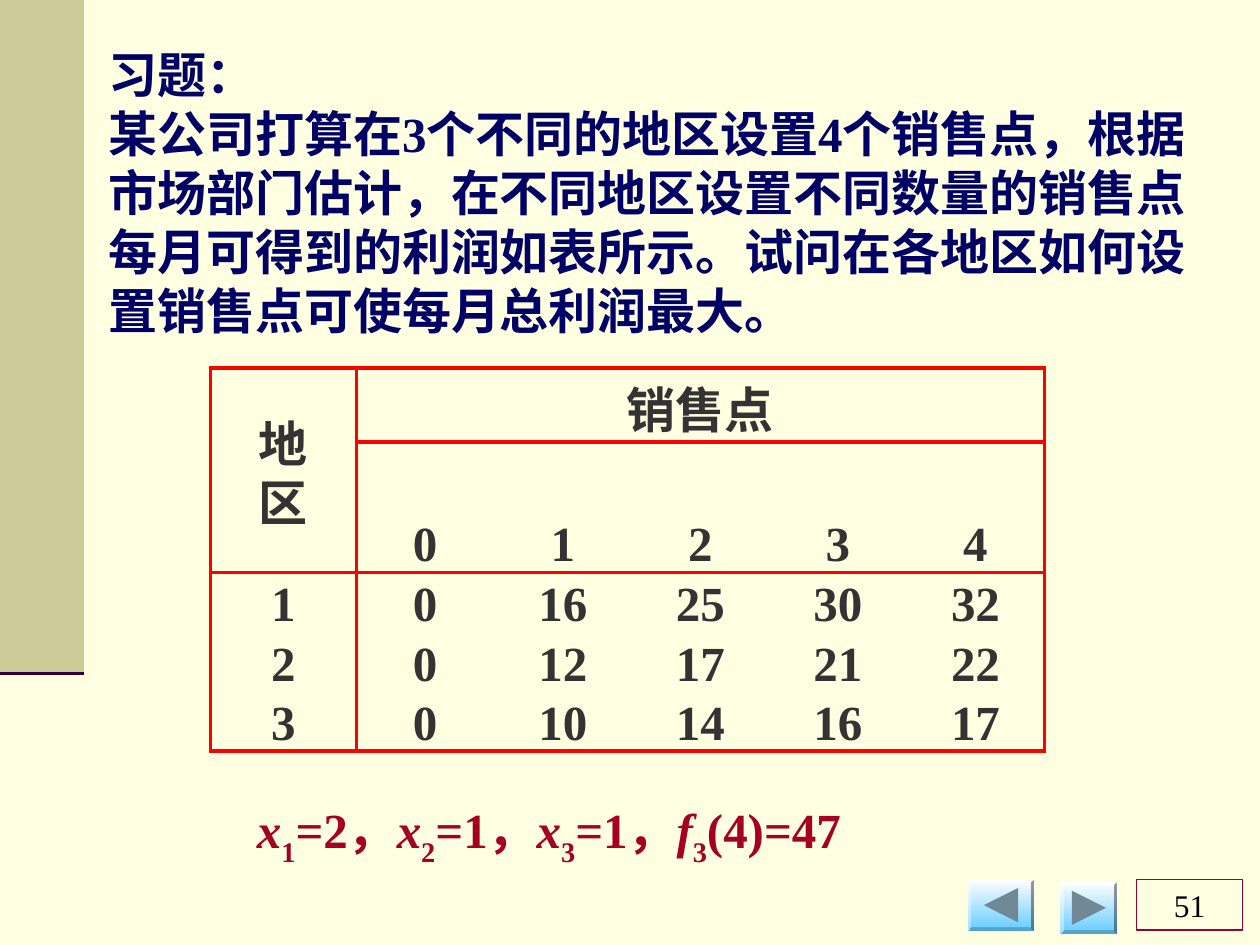
import lxml.etree
import pptx
import pptx.dml.color
import pptx.enum.shapes
import pptx.enum.text
import pptx.oxml.ns
import pptx.util

Pt = pptx.util.Pt
RGBColor = pptx.dml.color.RGBColor
SHAPES = pptx.enum.shapes.MSO_SHAPE
ALIGN = pptx.enum.text.PP_ALIGN
ANCHOR = pptx.enum.text.MSO_ANCHOR
qn = pptx.oxml.ns.qn

CREAM = RGBColor(0xFF, 0xFF, 0xE1)
KHAKI = RGBColor(0xCC, 0xCC, 0x99)
PLUM = RGBColor(0x33, 0x00, 0x33)
NAVY = RGBColor(0x00, 0x00, 0x66)
GRAY = RGBColor(0x33, 0x33, 0x33)
RED = RGBColor(0xFF, 0x00, 0x00)
CRIMSON = RGBColor(0xA5, 0x00, 0x21)
MAROON = RGBColor(0x99, 0x00, 0x33)
BLACK = RGBColor(0x00, 0x00, 0x00)
WHITE = RGBColor(0xFF, 0xFF, 0xFF)
SKY = RGBColor(0x66, 0xCC, 0xFF)
SLATE = RGBColor(0x6F, 0x8A, 0x96)

LATIN_FONT = "Times New Roman"
CHINESE_FONT = "Noto Sans CJK SC"
LINE_PITCH = 33.7
NO_STYLE_NO_GRID = "{2D5ABB26-0587-4C30-8999-92F81FD0307C}"

QUESTION = (
    "习题：",
    "某公司打算在3个不同的地区设置4个销售点，根据市场部门估计，在不同地区设置不同数量的销售点"
    "每月可得到的利润如表所示。试问在各地区如何设置销售点可使每月总利润最大。",
)
PROFITS = (
    ("地区", "销售点", "", "", "", ""),
    ("", "0", "1", "2", "3", "4"),
    ("1", "0", "16", "25", "30", "32"),
    ("2", "0", "12", "17", "21", "22"),
    ("3", "0", "10", "14", "16", "17"),
)
ANSWER = (("x", "1", "=2，"), ("x", "2", "=1，"), ("x", "3", "=1，"), ("f", "3", "(4)=47"))


def format_para(para, color, size=28, bold=True, align=ALIGN.LEFT):
    para.alignment = align
    if size == 28:
        para.line_spacing = Pt(LINE_PITCH)
    font = para.font
    font.size, font.bold, font.name = Pt(size), bold, LATIN_FONT
    font.color.rgb = color
    lxml.etree.SubElement(font._element, qn("a:ea"), typeface=CHINESE_FONT)


def add_text_box(page, left, top, width, height):
    frame = page.shapes.add_textbox(Pt(left), Pt(top), Pt(width), Pt(height)).text_frame
    frame.word_wrap = True
    return frame


def add_side_bar(page, width, height):
    edge = page.shapes.add_connector(
        pptx.enum.shapes.MSO_CONNECTOR.STRAIGHT, Pt(0), Pt(height), Pt(width), Pt(height))
    edge.line.color.rgb = PLUM
    edge.line.width = Pt(3.5)
    lxml.etree.SubElement(edge._element.spPr, qn("a:effectLst"))
    bar = page.shapes.add_shape(SHAPES.RECTANGLE, Pt(0), Pt(0), Pt(width), Pt(height))
    bar.shadow.inherit = False
    bar.fill.solid()
    bar.fill.fore_color.rgb = KHAKI
    bar.line.fill.background()


def add_button(page, left, top, width, height, direction):
    """Bevelled button with an arrow; direction is -1 for back, 1 for forward."""
    button = page.shapes.add_shape(SHAPES.BEVEL, Pt(left), Pt(top), Pt(width), Pt(height))
    button.adjustments[0] = 0.06
    button.shadow.inherit = False
    button.line.fill.background()
    button.fill.gradient()
    button.fill.gradient_angle = 270
    for stop, color, position in zip(button.fill.gradient_stops, (WHITE, SKY), (0, 1)):
        stop.color.rgb = color
        stop.position = position

    middle_x, middle_y, reach = left + width / 2, top + height / 2, 9.8
    base_x = middle_x - direction * reach
    builder = page.shapes.build_freeform(Pt(base_x), Pt(middle_y - reach))
    builder.add_line_segments([
        (Pt(middle_x + direction * reach), Pt(middle_y)),
        (Pt(base_x), Pt(middle_y + reach)),
    ])
    arrow = builder.convert_to_shape()
    arrow.shadow.inherit = False
    arrow.fill.solid()
    arrow.fill.fore_color.rgb = SLATE
    arrow.line.fill.background()


def add_page_number(page, left, top, width, height, number):
    box = page.shapes.add_shape(SHAPES.RECTANGLE, Pt(left), Pt(top), Pt(width), Pt(height))
    box.shadow.inherit = False
    box.fill.background()
    box.line.color.rgb = MAROON
    box.line.width = Pt(0.75)
    box.text_frame.vertical_anchor = ANCHOR.MIDDLE
    para = box.text_frame.paragraphs[0]
    para.text = number
    format_para(para, BLACK, size=18, bold=False, align=ALIGN.CENTER)


def add_question(page, left, top, width, height):
    frame = add_text_box(page, left, top, width, height)
    frame.text = "\n".join(QUESTION)
    for para in frame.paragraphs:
        format_para(para, NAVY)


def draw_borders(cell, sides):
    """Rule the given sides, named L, R, T and B in that order."""
    properties = cell._tc.get_or_add_tcPr()
    for index, side in enumerate(sides):
        line = lxml.etree.Element(qn("a:ln" + side), w=str(Pt(2.25)))
        fill = lxml.etree.SubElement(line, qn("a:solidFill"))
        lxml.etree.SubElement(fill, qn("a:srgbClr"), val=str(RED))
        properties.insert(index, line)


def add_profit_table(page, left, top, width, height):
    last_row, last_column = len(PROFITS) - 1, len(PROFITS[0]) - 1
    table = page.shapes.add_table(
        last_row + 1, last_column + 1, Pt(left), Pt(top), Pt(width), Pt(height)).table
    table.first_row = table.horz_banding = False
    table._tbl.tblPr.find(qn("a:tableStyleId")).text = NO_STYLE_NO_GRID

    region_width, header_heights = 83.5, (42.5, 47.5)
    data_height = (height - sum(header_heights)) / 3
    for column in table.columns:
        column.width = Pt((width - region_width) / last_column)
    table.columns[0].width = Pt(region_width)
    for row, row_height in zip(table.rows, header_heights + (data_height,) * 3):
        row.height = Pt(row_height)
    table.cell(0, 0).merge(table.cell(1, 0))
    table.cell(0, 1).merge(table.cell(0, last_column))

    for r, values in enumerate(PROFITS):
        for c, value in enumerate(values):
            cell = table.cell(r, c)
            cell.margin_left = cell.margin_right = cell.margin_top = cell.margin_bottom = 0
            cell.vertical_anchor = ANCHOR.BOTTOM
            cell.fill.background()
            ruled = {
                "L": c == 0,
                "R": c in (0, last_column) or cell.is_merge_origin,
                "T": r == 0,
                "B": r in (0, 1, last_row),
            }
            draw_borders(cell, [side for side in ruled if ruled[side]])
            if value:
                para = cell.text_frame.paragraphs[0]
                para.text = value
                format_para(para, GRAY, align=ALIGN.CENTER)

    region = table.cell(0, 0)
    region.vertical_anchor = ANCHOR.MIDDLE
    region.margin_left = region.margin_right = Pt(15)
    region.margin_top = Pt(7)


def add_answer(page, left, top, width, height):
    para = add_text_box(page, left, top, width, height).paragraphs[0]
    format_para(para, CRIMSON)
    for symbol, index, value in ANSWER:
        for text in (symbol, index, value):
            span = para.add_run()
            span.text = text
            if text is symbol:
                span.font.italic = True
            elif text is index:
                span.font._element.set("baseline", "-30000")


def main():
    deck = pptx.Presentation()
    deck.slide_width, deck.slide_height = Pt(720), Pt(540)
    page = deck.slides.add_slide(deck.slide_layouts[6])
    page.background.fill.solid()
    page.background.fill.fore_color.rgb = CREAM

    add_side_bar(page, 48, 384)
    add_button(page, 553, 502.5, 38, 29.5, -1)
    add_button(page, 606, 504, 32.5, 29.5, 1)
    add_page_number(page, 649.5, 502.5, 60.5, 29, "51")
    add_question(page, 55, 22, 636.5, 175.7)
    add_profit_table(page, 120.2, 210.2, 476.6, 192.2)
    add_answer(page, 139.7, 459, 500, 46.8)
    deck.save("out.pptx")


if __name__ == "__main__":
    main()
